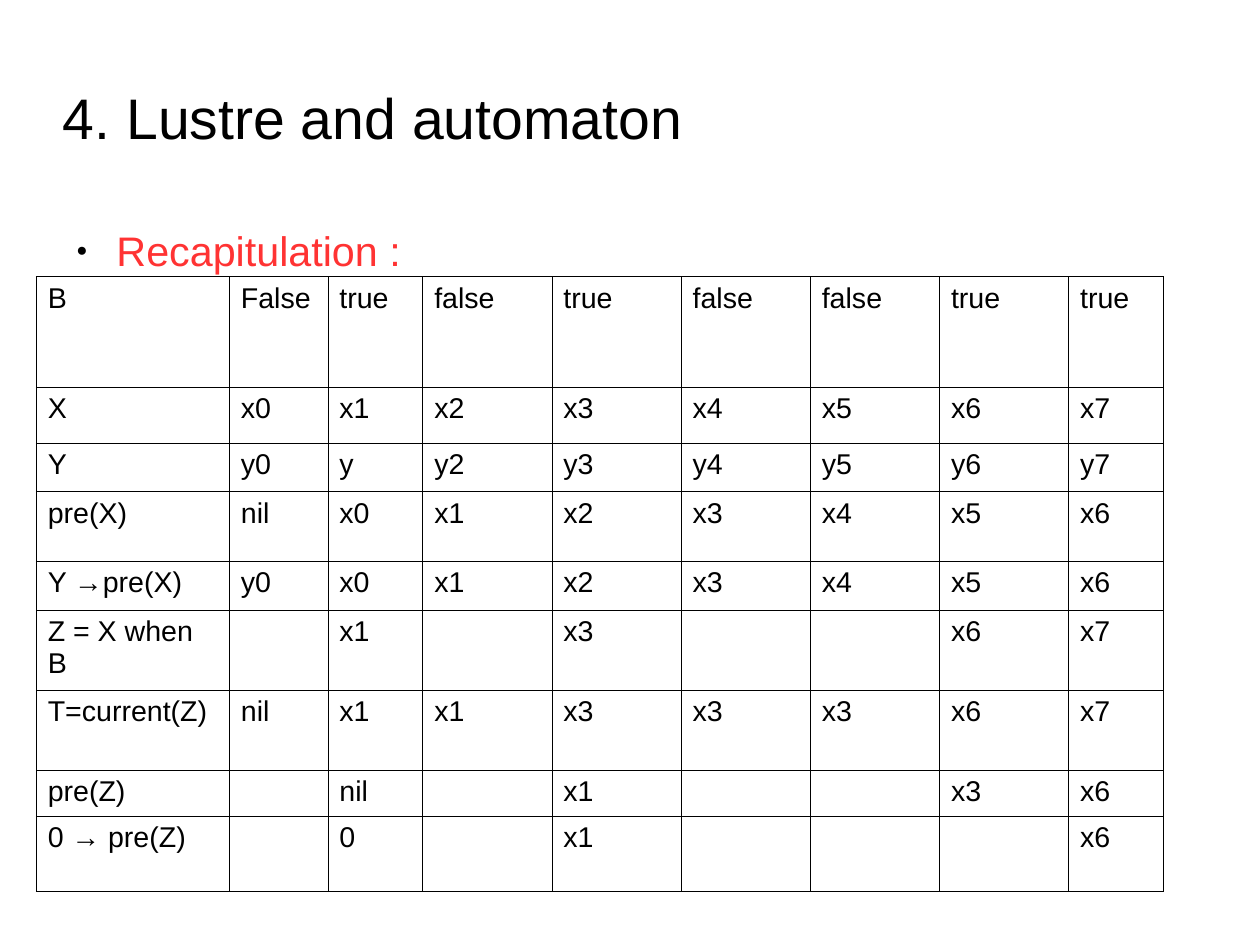
from dataclasses import dataclass

from lxml.etree import SubElement
from pptx import Presentation
from pptx.dml.color import RGBColor as Rgb
from pptx.enum.text import MSO_ANCHOR as Anchor, PP_ALIGN as Align
from pptx.oxml.ns import qn
from pptx.util import Pt


@dataclass(frozen=True)
class Theme:
    font: str = "Arial"
    ink: str = "000000"
    accent: str = "FF3333"
    title: float = 36
    head: float = 26
    cell: float = 18
    rule: float = 0.57


@dataclass(frozen=True)
class Box:
    left: float
    top: float
    width: float
    height: float


@dataclass(frozen=True)
class Row:
    label: str
    height: float
    values: str  # one word per cycle, "-" for an empty cell

    def cells(self) -> list[str]:
        return [self.label] + ["" if v == "-" else v for v in self.values.split()]


THEME = Theme()
TITLE = Box(39.6, 45, 566.6, 56.9)
BODY = Box(39.6, 141.8, 714.2, 344.9)
GRID = Box(22.9, 174.2, 710.6, 387.2)
WIDE, SLIM = 81.4, 59.8
COLS = [121.7, 62, SLIM] + [WIDE] * 5 + [SLIM]
ROWS = [
    Row("B", 69.7, "False true false true false false true true"),
    Row("X", 35.2, "x0 x1 x2 x3 x4 x5 x6 x7"),
    Row("Y", 30.8, "y0 y y2 y3 y4 y5 y6 y7"),
    Row("pre(X)", 43.6, "nil x0 x1 x2 x3 x4 x5 x6"),
    Row("Y →pre(X)", 30.8, "y0 x0 x1 x2 x3 x4 x5 x6"),
    Row("Z = X when B", 50.4, "- x1 - x3 - - x6 x7"),
    Row("T=current(Z)", 50.4, "nil x1 x1 x3 x3 x3 x6 x7"),
    Row("pre(Z)", 29, "- nil - x1 - - x3 x6"),
    Row("0 → pre(Z)", 47.3, "- 0 - x1 - - - x6"),
]


def place(box: Box) -> list[Pt]:
    return [Pt(v) for v in (box.left, box.top, box.width, box.height)]


def style(para, size: float, color: str) -> None:
    for run in para.runs:
        run.font.name = THEME.font
        run.font.size = Pt(size)
        run.font.color.rgb = Rgb.from_string(color)


def bare(frame) -> None:
    frame.margin_left = frame.margin_right = 0
    frame.margin_top = frame.margin_bottom = 0
    frame.word_wrap = True


def bullet(para, left: float, hang: float) -> None:
    props = para._p.get_or_add_pPr()
    props.set("marL", str(Pt(left)))
    props.set("indent", str(-Pt(hang)))
    color = SubElement(props, qn("a:buClr"))
    SubElement(color, qn("a:srgbClr"), val=THEME.ink)
    SubElement(props, qn("a:buSzPct"), val="45000")
    SubElement(props, qn("a:buFont"), typeface=THEME.font)
    SubElement(props, qn("a:buChar"), char="●")


def border(cell) -> None:
    props = cell._tc.get_or_add_tcPr()
    for side in ("lnL", "lnR", "lnT", "lnB"):
        line = SubElement(props, qn(f"a:{side}"), w=str(Pt(THEME.rule)))
        fill = SubElement(line, qn("a:solidFill"))
        SubElement(fill, qn("a:srgbClr"), val=THEME.ink)


def draw_title(slide, text: str) -> None:
    title = slide.shapes.title
    title.left, title.top, title.width, title.height = place(TITLE)
    frame = title.text_frame
    bare(frame)
    frame.vertical_anchor = Anchor.MIDDLE
    frame.text = text
    para = frame.paragraphs[0]
    para.alignment = Align.LEFT
    style(para, THEME.title, THEME.ink)


def draw_head(slide, text: str) -> None:
    frame = slide.shapes.add_textbox(*place(BODY)).text_frame
    bare(frame)
    frame.text = text
    para = frame.paragraphs[0]
    para.space_after = Pt(14.2)
    bullet(para, left=33.8, hang=25.2)
    style(para, THEME.head, THEME.accent)


def draw_grid(slide, rows: list[Row], cols: list[float]) -> None:
    table = slide.shapes.add_table(len(rows), len(cols), *place(GRID)).table
    table.first_row = table.horz_banding = False
    for col, width in zip(table.columns, cols):
        col.width = Pt(width)
    for line, row in zip(table.rows, rows):
        line.height = Pt(row.height)
        for cell, text in zip(line.cells, row.cells()):
            border(cell)
            cell.fill.background()
            cell.text_frame.text = text
            style(cell.text_frame.paragraphs[0], THEME.cell, THEME.ink)


# Slide
deck = Presentation()
deck.slide_width, deck.slide_height = Pt(793.75), Pt(595.25)
slide = deck.slides.add_slide(deck.slide_layouts[5])

# Title, heading and table of flows
draw_title(slide, "4. Lustre and automaton")
draw_head(slide, "Recapitulation :")
draw_grid(slide, ROWS, COLS)

deck.save("out.pptx")
